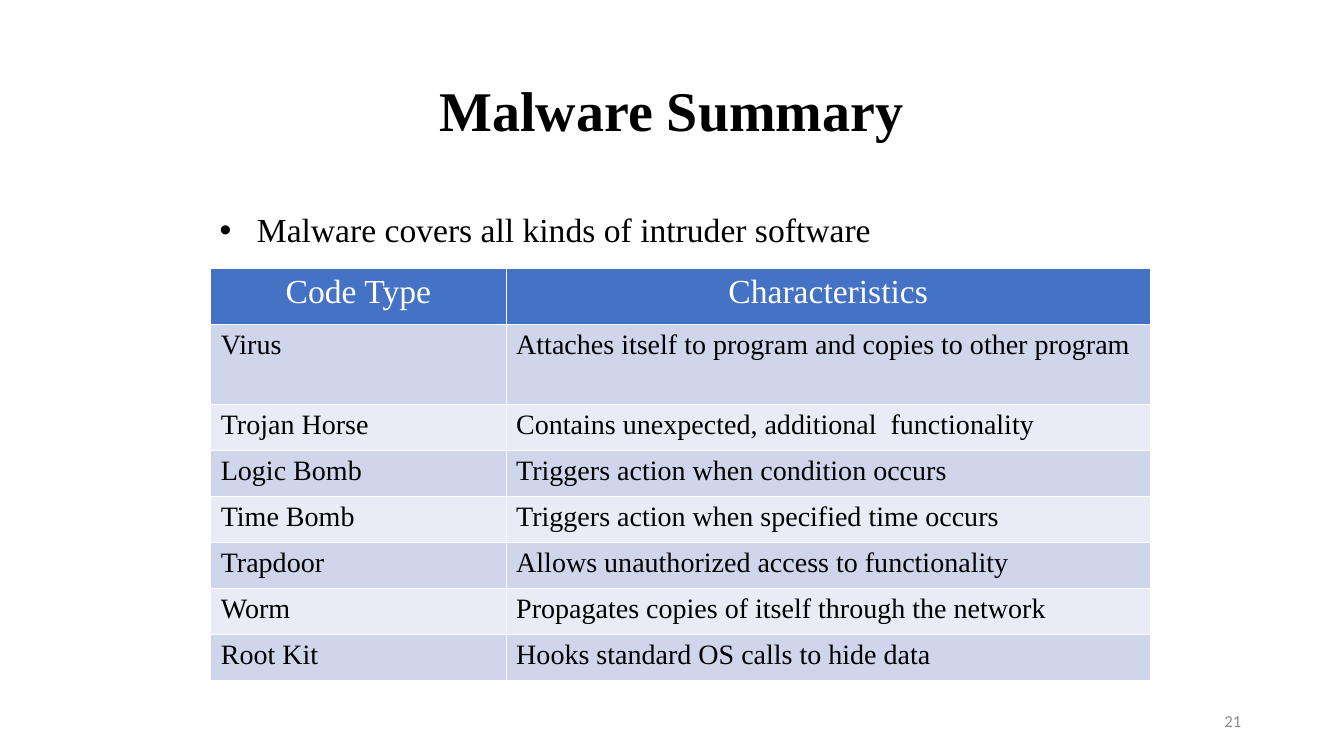
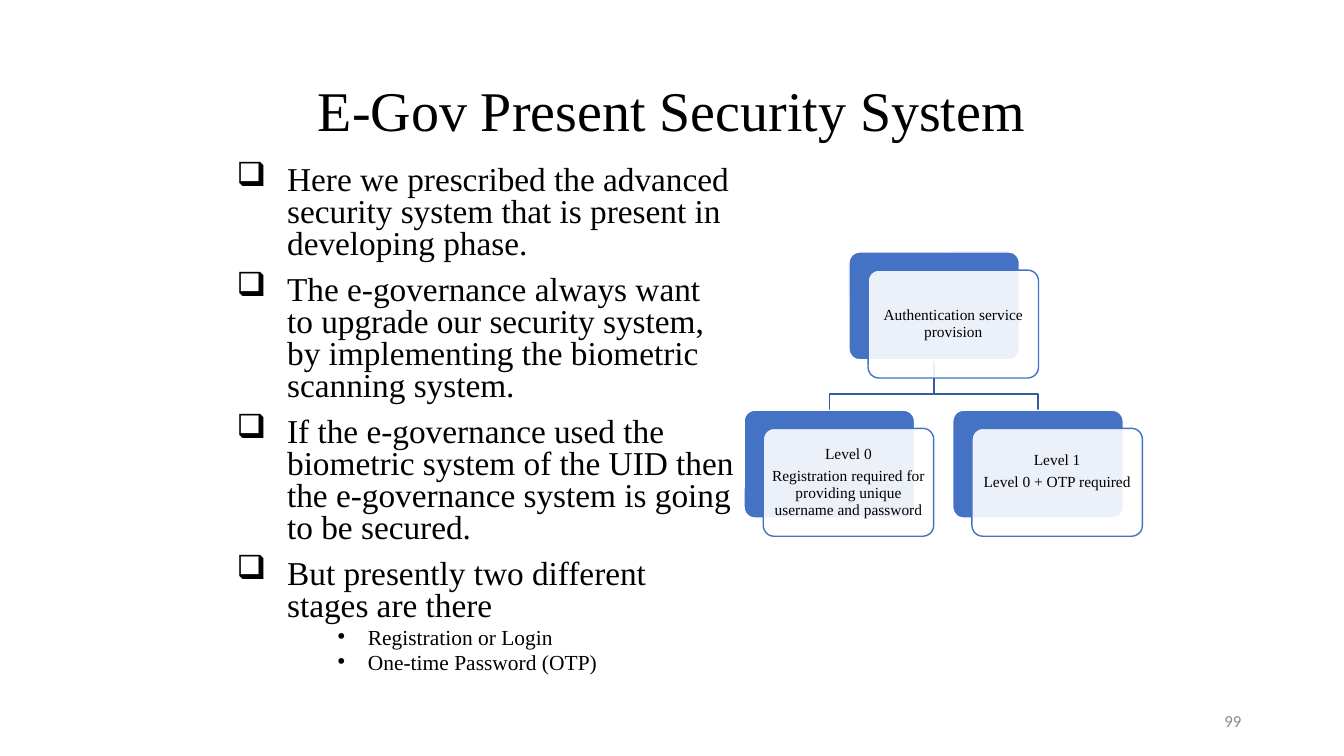
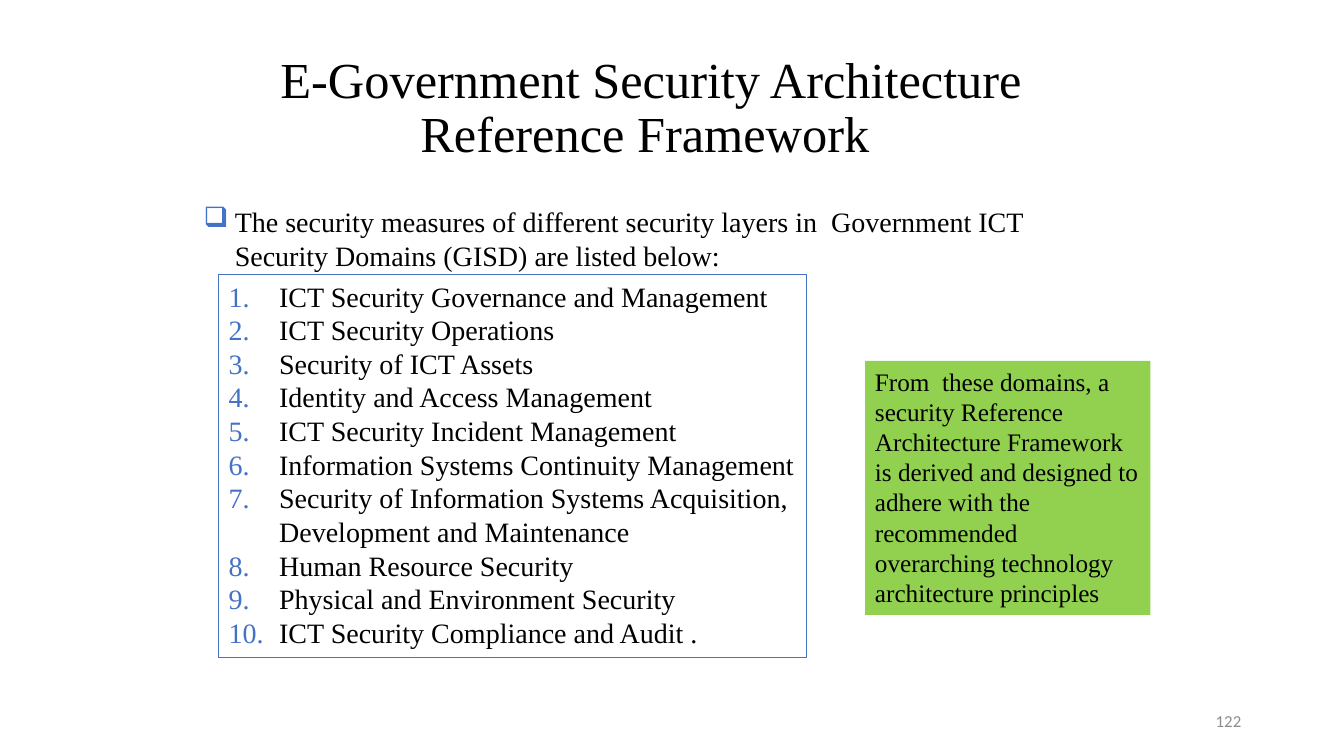
from lxml import etree
from pptx import Presentation
from pptx.dml.color import RGBColor
from pptx.enum.shapes import MSO_SHAPE
from pptx.enum.text import MSO_ANCHOR, PP_ALIGN
from pptx.oxml.ns import qn
from pptx.util import Inches, Pt

LEFT, CENTER, RIGHT = PP_ALIGN.LEFT, PP_ALIGN.CENTER, PP_ALIGN.RIGHT
TOP, MIDDLE = MSO_ANCHOR.TOP, MSO_ANCHOR.MIDDLE
RECTANGLE, ROUNDED = MSO_SHAPE.RECTANGLE, MSO_SHAPE.ROUNDED_RECTANGLE

BLACK = RGBColor(0x00, 0x00, 0x00)
WHITE = RGBColor(0xFF, 0xFF, 0xFF)
BLUE = RGBColor(0x44, 0x72, 0xC4)
DARK_BLUE = RGBColor(0x36, 0x5B, 0x9D)
BAND_DARK = RGBColor(0xCF, 0xD5, 0xEA)
BAND_LIGHT = RGBColor(0xE9, 0xEB, 0xF5)
GREEN = RGBColor(0x92, 0xD0, 0x50)
GRAY = RGBColor(0x8C, 0x8C, 0x8C)

# Bullet font and character; the Wingdings q is a shadowed square
DOT, SQUARE = ("Arial", "•"), ("Wingdings", "q")
NUMBER = ("Times New Roman", None)

prs = Presentation()
prs.slide_width, prs.slide_height = Inches(13.33), Inches(7.5)


def write(frame, lines, size=20, font="Times New Roman", color=BLACK, bold=False,
          align=LEFT, anchor=TOP, spacing=1.0, before=0, after=0,
          bullet=None, bullet_color=None, indent=0, hang=0):
    """Add one paragraph per line; a bullet without a character is a number."""
    frame.word_wrap = True
    frame.vertical_anchor = anchor
    for line in lines:
        first = not frame.text
        paragraph = frame.paragraphs[0] if first else frame.add_paragraph()
        if bullet:
            bullet_font, character = bullet
            props = paragraph._p.get_or_add_pPr()
            props.set("marL", str(Inches(indent)))
            props.set("indent", str(-Inches(hang)))
            if bullet_color is not None:
                bullet_fill = etree.SubElement(props, qn("a:buClr"))
                etree.SubElement(bullet_fill, qn("a:srgbClr"), val=str(bullet_color))
            etree.SubElement(props, qn("a:buFont"), typeface=bullet_font)
            if character:
                etree.SubElement(props, qn("a:buChar"), char=character)
            else:
                etree.SubElement(props, qn("a:buAutoNum"), type="arabicPeriod")
        paragraph.alignment = align
        paragraph.line_spacing = spacing
        paragraph.space_before = Pt(0 if first else before)
        paragraph.space_after = Pt(after)
        run = paragraph.add_run()
        run.text = line
        run.font.size, run.font.name, run.font.bold = Pt(size), font, bold
        run.font.color.rgb = color


def new_slide(title, number, title_box=(0.91, 0.4, 11.5, 1.45), size=40, bold=False):
    """Add a slide with its title and page number."""
    slide = prs.slides.add_slide(prs.slide_layouts[6])
    heading = slide.shapes.add_textbox(*map(Inches, title_box))
    write(heading.text_frame, [title], size=size, bold=bold, align=CENTER,
          anchor=MIDDLE, spacing=0.9)
    page = slide.shapes.add_textbox(Inches(9.41), Inches(6.95), Inches(3), Inches(0.4))
    write(page.text_frame, [number], size=12, font="Calibri", color=GRAY,
          align=RIGHT, anchor=MIDDLE)
    return slide


# Malware summary
slide = new_slide("Malware Summary", "21", bold=True)
intro = slide.shapes.add_textbox(Inches(2.08), Inches(2.07), Inches(9.33), Inches(0.47))
write(intro.text_frame, ["Malware covers all kinds of intruder software"], size=24,
      spacing=0.9, bullet=DOT, indent=0.37, hang=0.37)

code_types = [
    ("Code Type", "Characteristics"),
    ("Virus", "Attaches itself to program and copies to other program"),
    ("Trojan Horse", "Contains unexpected, additional  functionality"),
    ("Logic Bomb", "Triggers action when condition occurs"),
    ("Time Bomb", "Triggers action when specified time occurs"),
    ("Trapdoor", "Allows unauthorized access to functionality"),
    ("Worm", "Propagates copies of itself through the network"),
    ("Root Kit", "Hooks standard OS calls to hide data"),
]
row_heights = [0.56, 0.79] + [2.74 / 6] * 6
table = slide.shapes.add_table(len(code_types), 2, Inches(2.09), Inches(2.66),
                               Inches(9.32), Inches(sum(row_heights))).table
table.columns[0].width, table.columns[1].width = Inches(2.93), Inches(6.39)
for r, (entry, height) in enumerate(zip(code_types, row_heights)):
    table.rows[r].height = Inches(height)
    header = r == 0
    for c, text in enumerate(entry):
        cell = table.cell(r, c)
        cell_props = cell._tc.get_or_add_tcPr()
        for side in ("lnL", "lnR", "lnT", "lnB"):
            border = etree.SubElement(cell_props, qn("a:" + side), w=str(Pt(1)))
            border_fill = etree.SubElement(border, qn("a:solidFill"))
            etree.SubElement(border_fill, qn("a:srgbClr"), val=str(WHITE))
        cell.fill.solid()
        cell.fill.fore_color.rgb = BLUE if header else BAND_DARK if r % 2 else BAND_LIGHT
        write(cell.text_frame, [text], size=24 if header else 20,
              color=WHITE if header else BLACK, align=CENTER if header else LEFT)

# Present security system
slide = new_slide("E-Gov Present Security System", "99")
body = slide.shapes.add_textbox(Inches(2.25), Inches(1.6), Inches(5.13), Inches(5.5))
write(body.text_frame, [
    "Here we prescribed the advanced security system that is present in developing phase.",
    "The e-governance always want to upgrade our security system, by implementing the "
    "biometric scanning system.",
    "If the e-governance used the biometric system of the UID then the e-governance "
    "system is going to be secured.",
    "But presently two different stages are there",
], size=23.8, spacing=0.8, before=10, bullet=SQUARE, indent=0.5, hang=0.5)
write(body.text_frame, ["Registration or Login", "One-time Password (OTP)"], size=15.3,
      spacing=0.7, before=5, bullet=DOT, indent=1.3, hang=0.3)

CARD_W, CARD_H = 1.69, 1.07
SHIFT_X, SHIFT_Y = 0.19, 0.18
cards = [  # left, top, lines, bottom margin
    (8.42, 2.5, ["Authentication service provision"], 0.05),
    (7.38, 4.07, ["Level 0", "Registration required for providing unique "
                  "username and password"], 0.05),
    (9.45, 4.07, ["Level 1", "Level 0 + OTP required"], 0.27),
]
root_left, root_top = cards[0][:2]
root_x, root_bottom, fork_y = root_left + CARD_W / 2, root_top + CARD_H + 0.01, 3.91
for level_left, level_top, _, _ in cards[1:]:
    level_x = level_left + CARD_W / 2
    outline = slide.shapes.build_freeform(Inches(root_x), Inches(root_bottom))
    outline.add_line_segments([(Inches(root_x), Inches(fork_y)),
                               (Inches(level_x), Inches(fork_y)),
                               (Inches(level_x), Inches(level_top))], close=False)
    branch = outline.convert_to_shape()
    branch.shadow.inherit = False
    branch.fill.background()
    branch.line.color.rgb = DARK_BLUE
    branch.line.width = Pt(1)

for left, top, lines, bottom in cards:
    back = slide.shapes.add_shape(ROUNDED, Inches(left), Inches(top),
                                  Inches(CARD_W), Inches(CARD_H))
    front = slide.shapes.add_shape(ROUNDED, Inches(left + SHIFT_X), Inches(top + SHIFT_Y),
                                   Inches(CARD_W), Inches(CARD_H))
    for card, fill, line in ((back, BLUE, WHITE), (front, WHITE, BLUE)):
        card.adjustments[0] = 0.1
        card.shadow.inherit = False
        card.fill.solid()
        card.fill.fore_color.rgb = fill
        card.line.color.rgb = line
        card.line.width = Pt(1)
    tint = front._element.spPr.find(qn("a:solidFill")).find(qn("a:srgbClr"))
    etree.SubElement(tint, qn("a:alpha"), val="90000")
    frame = front.text_frame
    frame.margin_left = frame.margin_right = frame.margin_top = Inches(0.05)
    frame.margin_bottom = Inches(bottom)
    write(frame, lines, size=11, align=CENTER, anchor=MIDDLE, spacing=0.9, after=4)

# Reference framework
slide = new_slide("E-Government Security Architecture Reference Framework ", "122",
                  title_box=(2.42, 0.29, 8.08, 1.59), size=36)
measures = slide.shapes.add_textbox(Inches(1.92), Inches(1.98), Inches(9.08), Inches(0.77))
write(measures.text_frame,
      ["The security measures of different security layers in  Government ICT Security "
       "Domains (GISD) are listed below:"],
      bullet=SQUARE, bullet_color=BLUE, indent=0.31, hang=0.31)

domains = slide.shapes.add_shape(RECTANGLE, Inches(2.17), Inches(2.72),
                                 Inches(5.83), Inches(3.8))
domains.shadow.inherit = False
domains.fill.background()
domains.line.color.rgb = BLUE
domains.line.width = Pt(0.75)
write(domains.text_frame, [
    "ICT Security Governance and Management",
    "ICT Security Operations",
    "Security of ICT Assets",
    "Identity and Access Management",
    "ICT Security Incident Management",
    "Information Systems Continuity Management",
    "Security of Information Systems Acquisition, Development and Maintenance",
    "Human Resource Security",
    "Physical and Environment Security",
    "ICT Security Compliance and Audit .",
], bullet=NUMBER, bullet_color=BLUE, indent=0.5, hang=0.5)

conclusion = slide.shapes.add_shape(RECTANGLE, Inches(8.58), Inches(3.58),
                                    Inches(2.83), Inches(2.52))
conclusion.shadow.inherit = False
conclusion.fill.solid()
conclusion.fill.fore_color.rgb = GREEN
conclusion.line.fill.background()
write(conclusion.text_frame,
      ["From  these domains, a security Reference Architecture Framework is derived and "
       "designed to adhere with the recommended overarching technology architecture "
       "principles"], size=18)

prs.save("out.pptx")
